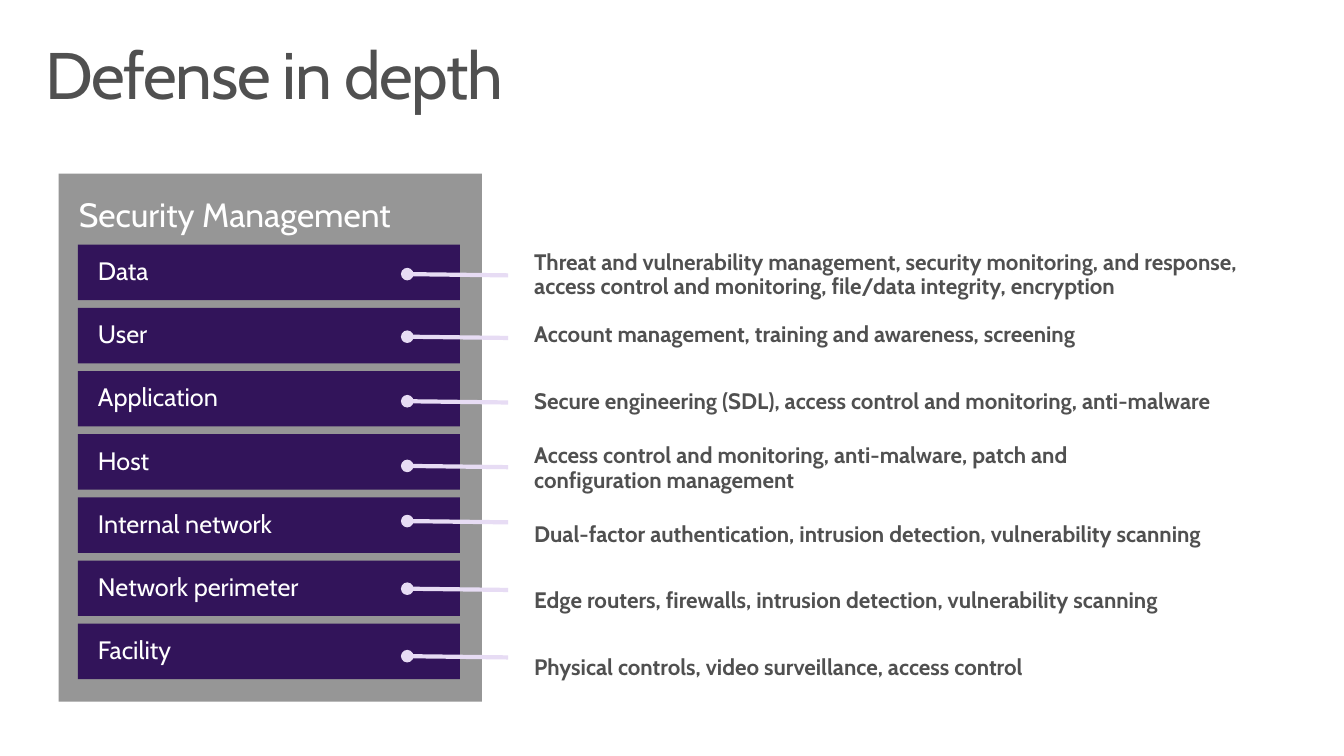
import pptx
import pptx.dml.color
import pptx.enum.shapes
import pptx.enum.text
import pptx.oxml
import pptx.oxml.ns
import pptx.util

Pt = pptx.util.Pt
RGBColor = pptx.dml.color.RGBColor
Anchor = pptx.enum.text.MSO_ANCHOR

WHITE = RGBColor(0xFF, 0xFF, 0xFF)
GRAY = RGBColor(0x96, 0x96, 0x96)
DARK_GRAY = RGBColor(0x50, 0x50, 0x50)
PURPLE = RGBColor(0x32, 0x14, 0x5A)
LILAC = RGBColor(0xE7, 0xDC, 0xF4)

# Layer name, controls, top of the controls text, height of the pointer dot
LAYERS = [
    ("Data", "Threat and vulnerability management, security monitoring, and response, "
     "access control and monitoring, file/data integrity, encryption", 174.2, 195.8),
    ("User", "Account management, training and awareness, screening", 217.4, 240.5),
    ("Application", "Secure engineering (SDL), access control and monitoring, anti-malware",
     265, 286.6),
    ("Host", "Access control and monitoring, anti-malware, patch and\nconfiguration management",
     312.5, 332.8),
    ("Internal network", "Dual-factor authentication, intrusion detection, vulnerability scanning",
     360, 372.2),
    ("Network perimeter", "Edge routers, firewalls, intrusion detection, vulnerability scanning",
     407.5, 420.5),
    ("Facility", "Physical controls, video surveillance, access control", 455, 468.7),
]
LAYER_TOP, LAYER_PITCH = 174.8, 45.12


class SlideBuilder:
    font_name = "Cabin"

    def __init__(self, slide):
        self.slide = slide

    def set_text(self, shape, text, size, color, margins, anchor=Anchor.TOP,
                 line_spacing=0.9, bold=False, tracking=None):
        left, top, right, bottom = (Pt(margin) for margin in margins)
        frame_format = {
            "word_wrap": True, "vertical_anchor": anchor,
            "margin_left": left, "margin_top": top,
            "margin_right": right, "margin_bottom": bottom,
        }
        for name, value in frame_format.items():
            setattr(shape.text_frame, name, value)
        paragraph = shape.text_frame.paragraphs[0]
        paragraph.text = text
        paragraph.alignment = pptx.enum.text.PP_ALIGN.LEFT
        paragraph.line_spacing = line_spacing
        font_format = {"name": self.font_name, "size": Pt(size), "bold": bold}
        for run in paragraph.runs:
            for name, value in font_format.items():
                setattr(run.font, name, value)
            run.font.color.rgb = color
            if tracking is not None:
                run.font._element.set("spc", str(tracking * 100))

    def rectangle(self, left, top, width, height, fill, text, **text_style):
        shape = self.slide.shapes.add_shape(
            pptx.enum.shapes.MSO_SHAPE.RECTANGLE, Pt(left), Pt(top), Pt(width), Pt(height))
        shape.shadow.inherit = False
        shape.fill.solid()
        shape.fill.fore_color.rgb = fill
        shape.line.fill.background()
        self.set_text(shape, text, color=WHITE, **text_style)

    def text_box(self, left, top, width, height, text, **text_style):
        shape = self.slide.shapes.add_textbox(Pt(left), Pt(top), Pt(width), Pt(height))
        self.set_text(shape, text, color=DARK_GRAY, **text_style)

    def pointer(self, start_x, start_y, end_x, end_y):
        connector = self.slide.shapes.add_connector(
            pptx.enum.shapes.MSO_CONNECTOR.STRAIGHT,
            Pt(start_x), Pt(start_y), Pt(end_x), Pt(end_y))
        connector.line.color.rgb = LILAC
        connector.line.width = Pt(3)
        dot = pptx.oxml.parse_xml(
            f'<a:tailEnd {pptx.oxml.ns.nsdecls("a")} type="oval"/>')
        connector.line._get_or_add_ln().append(dot)
        no_shadow = pptx.oxml.parse_xml(f'<a:effectLst {pptx.oxml.ns.nsdecls("a")}/>')
        connector._element.spPr.append(no_shadow)


def main():
    presentation = pptx.Presentation()
    presentation.slide_width = Pt(960)
    presentation.slide_height = Pt(540)
    builder = SlideBuilder(presentation.slides.add_slide(presentation.slide_layouts[6]))

    # Title
    builder.text_box(20.9, 23, 918, 70.6, "Defense in depth", size=47,
                     margins=(11.5, 7.2, 11.5, 7.2), tracking=-1)

    # Panel behind the layers
    builder.rectangle(41.9, 124, 302.4, 377.3, GRAY, "Security Management", size=24,
                      margins=(14.4,) * 4, line_spacing=1.0)

    # Layers with their controls and pointers
    for index, (name, controls, controls_top, dot_y) in enumerate(LAYERS):
        builder.rectangle(55.6, LAYER_TOP + index * LAYER_PITCH, 272.9, 39.6, PURPLE, name,
                          size=18, margins=(14.4, 7.2, 14.4, 7.2), anchor=Anchor.MIDDLE)
        builder.text_box(345.6, controls_top, 566, 44.6, controls, size=16, bold=True,
                         margins=(36, 7.2, 7.2, 7.2), anchor=Anchor.MIDDLE)
        builder.pointer(362.9, dot_y + 0.9, 290.9, dot_y)

    presentation.save("out.pptx")


if __name__ == "__main__":
    main()
